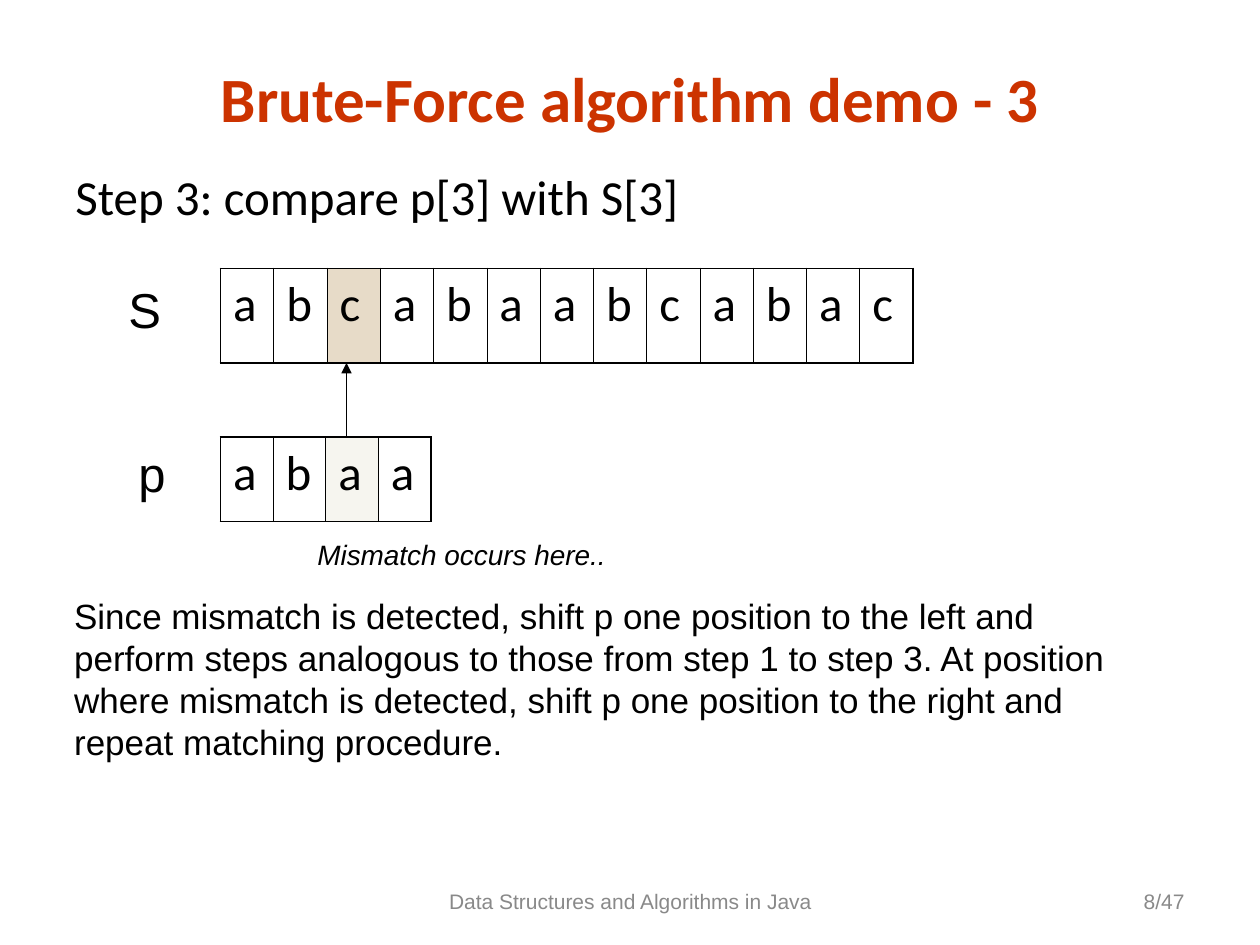
from lxml.etree import SubElement
from pptx import Presentation
from pptx.dml.color import RGBColor
from pptx.enum.shapes import MSO_CONNECTOR
from pptx.enum.text import MSO_ANCHOR, PP_ALIGN
from pptx.oxml import parse_xml
from pptx.oxml.ns import nsdecls, qn
from pptx.util import Inches, Pt

BLACK = RGBColor(0x00, 0x00, 0x00)
RED = RGBColor(0xCC, 0x33, 0x00)
GREY = RGBColor(0x89, 0x89, 0x89)
TAN = RGBColor(0xD1, 0xB8, 0x93)
CREAM = RGBColor(0xEE, 0xEC, 0xE1)

# Content
TITLE = "Brute-Force algorithm demo - 3"
STEP = "Step 3: compare p[3] with S[3]"
COMPARED = 2
STRINGS = [
    dict(label="S", label_at=(0.92, 2.17, 0.46, 0.57), letters="abcabaabcabac",
         top=2.13, width=5.5, height=0.75, highlight=TAN),
    dict(label="p", label_at=(1, 3.47, 0.41, 0.57), letters="abaa",
         top=3.47, width=1.67, height=0.67, highlight=CREAM),
]
MISMATCH = "Mismatch occurs here.."
EXPLANATION = (
    "Since mismatch is detected, shift p one position to the left and "
    "perform steps analogous to those from step 1 to step 3. At position "
    "where mismatch is detected, shift p one position to the right and "
    "repeat matching procedure.")
FOOTER = "Data Structures and Algorithms in Java"
PAGE = "8/47"

# Layout
STRINGS_LEFT = 1.75
ARROW_X = 2.75
OUTER, INNER = 1.08, 0.45

prs = Presentation()
prs.slide_width, prs.slide_height = Inches(10), Inches(7.5)
slide = prs.slides.add_slide(prs.slide_layouts[5])


def write(frame, text, size=28, font="Arial", color=BLACK, bold=False,
          italic=False, align=PP_ALIGN.LEFT, anchor=MSO_ANCHOR.TOP):
    frame.word_wrap = True
    frame.vertical_anchor = anchor
    paragraph = frame.paragraphs[0]
    paragraph.alignment = align
    run = paragraph.add_run()
    run.text = text
    run.font.size, run.font.name = Pt(size), font
    run.font.bold, run.font.italic = bold, italic
    run.font.color.rgb = color


def add_text(at, text, **style):
    box = slide.shapes.add_textbox(*map(Inches, at))
    write(box.text_frame, text, **style)


def set_borders(cell, **widths):
    properties = cell._tc.get_or_add_tcPr()
    for index, side in enumerate("LRTB"):
        properties.insert(index, parse_xml(
            f'<a:ln{side} {nsdecls("a")} w="{Pt(widths[side])}"><a:solidFill>'
            f'<a:srgbClr val="{BLACK}"/></a:solidFill></a:ln{side}>'))


def add_string(label, label_at, letters, top, width, height, highlight):
    add_text(label_at, label)
    count = len(letters)
    table = slide.shapes.add_table(
        1, count, Inches(STRINGS_LEFT), Inches(top), Inches(width), Inches(height)).table
    table.first_row = table.horz_banding = False
    for i, letter in enumerate(letters):
        table.columns[i].width = Inches(width / count)
        cell = table.cell(0, i)
        write(cell.text_frame, letter, font="Calibri")
        if i == COMPARED:
            cell.fill.solid()
            cell.fill.fore_color.rgb = highlight
            tint = cell._tc.tcPr.find(".//" + qn("a:srgbClr"))
            SubElement(tint, qn("a:alpha"), val="50000")
        else:
            cell.fill.background()
        set_borders(cell, L=OUTER if i == 0 else INNER,
                    R=OUTER if i == count - 1 else INNER, T=OUTER, B=OUTER)


# Title and step
title = slide.shapes.title
title.left, title.top, title.width, title.height = map(Inches, (0.5, 0.42, 9, 0.7))
write(title.text_frame, TITLE, size=36, font="Calibri", color=RED, bold=True,
      align=PP_ALIGN.CENTER, anchor=MSO_ANCHOR.MIDDLE)
add_text((0.5, 1.27, 9, 0.57), STEP, font="Calibri")

# Text S and pattern p
for string in STRINGS:
    add_string(**string)

# Arrow from the compared letter of p to that of S
searched, pattern = STRINGS
arrow = slide.shapes.add_connector(
    MSO_CONNECTOR.STRAIGHT, Inches(ARROW_X), Inches(pattern["top"]),
    Inches(ARROW_X), Inches(searched["top"] + searched["height"]))
arrow.line.color.rgb = BLACK
arrow.line.width = Pt(0.75)
SubElement(arrow.line._get_or_add_ln(), qn("a:tailEnd"), type="triangle")
SubElement(arrow._element.spPr, qn("a:effectLst"))

# Outcome
add_text((2.42, 4.22, 2.49, 0.37), MISMATCH, size=16, italic=True)
add_text((0.49, 4.67, 8.47, 1.44), EXPLANATION, size=20)

# Footer
footer_style = dict(size=12, color=GREY, anchor=MSO_ANCHOR.MIDDLE)
add_text((3.42, 6.95, 3.17, 0.4), FOOTER, align=PP_ALIGN.CENTER, **footer_style)
add_text((7.17, 6.95, 2.33, 0.4), PAGE, align=PP_ALIGN.RIGHT, **footer_style)

prs.save("out.pptx")
